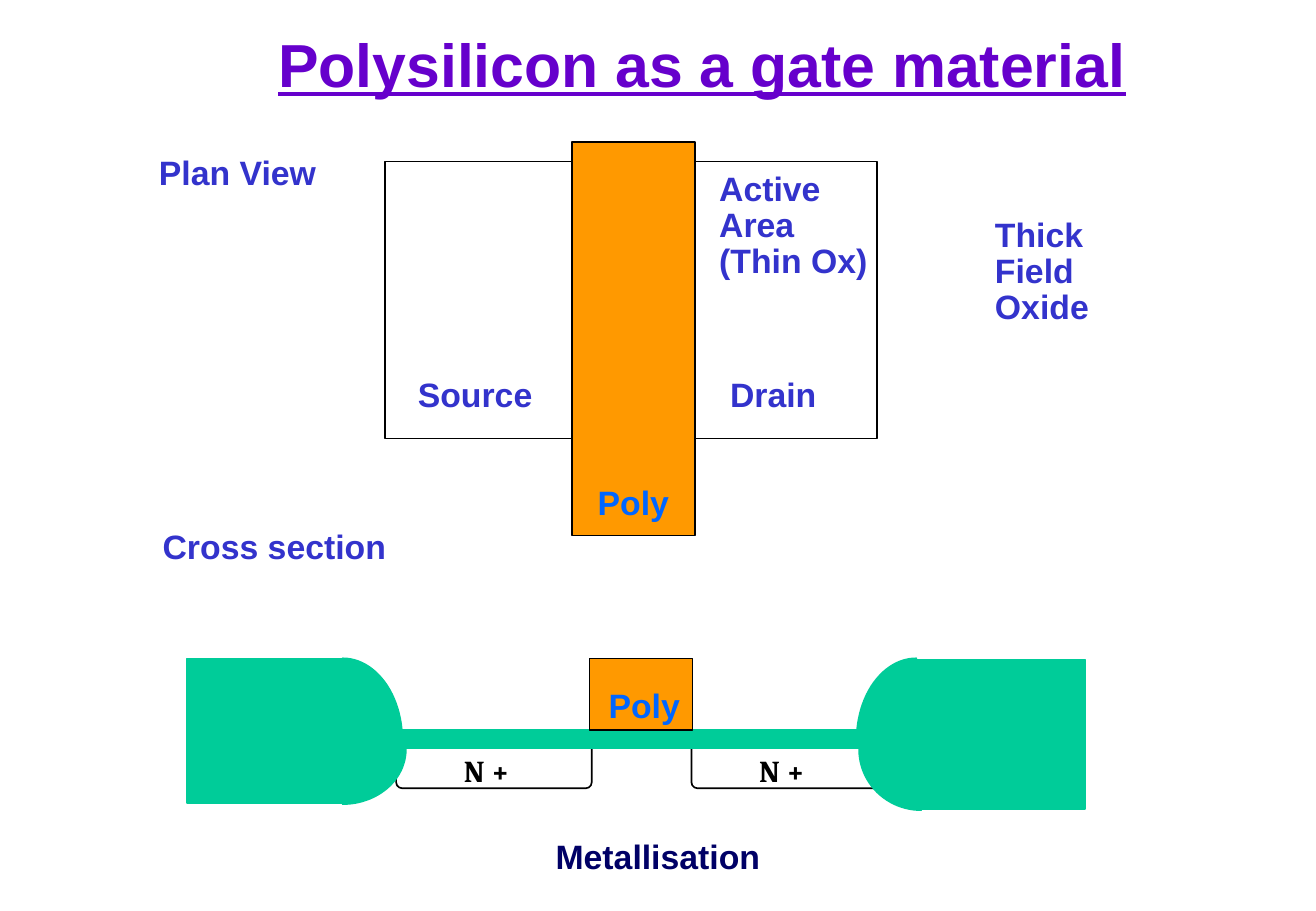
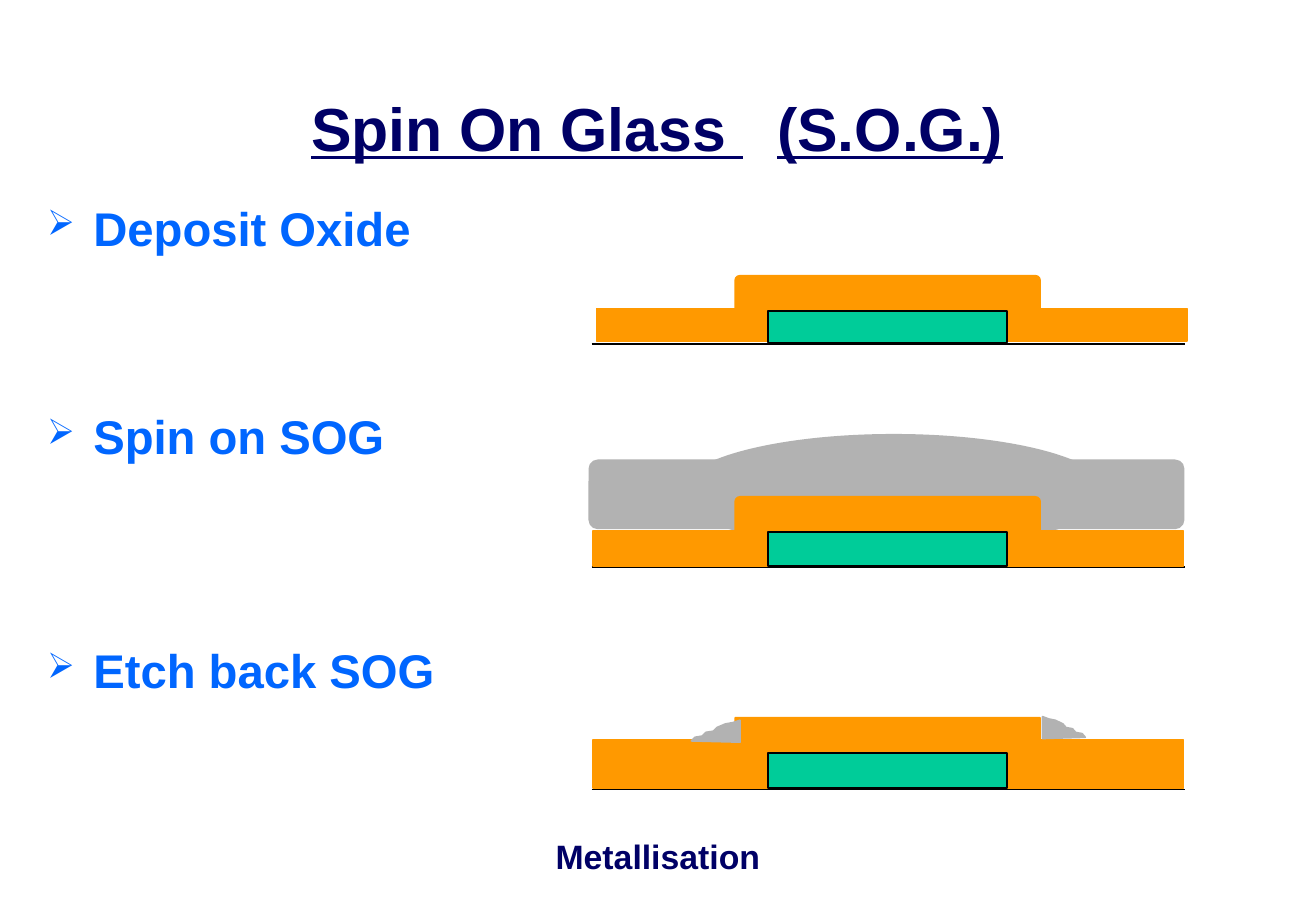
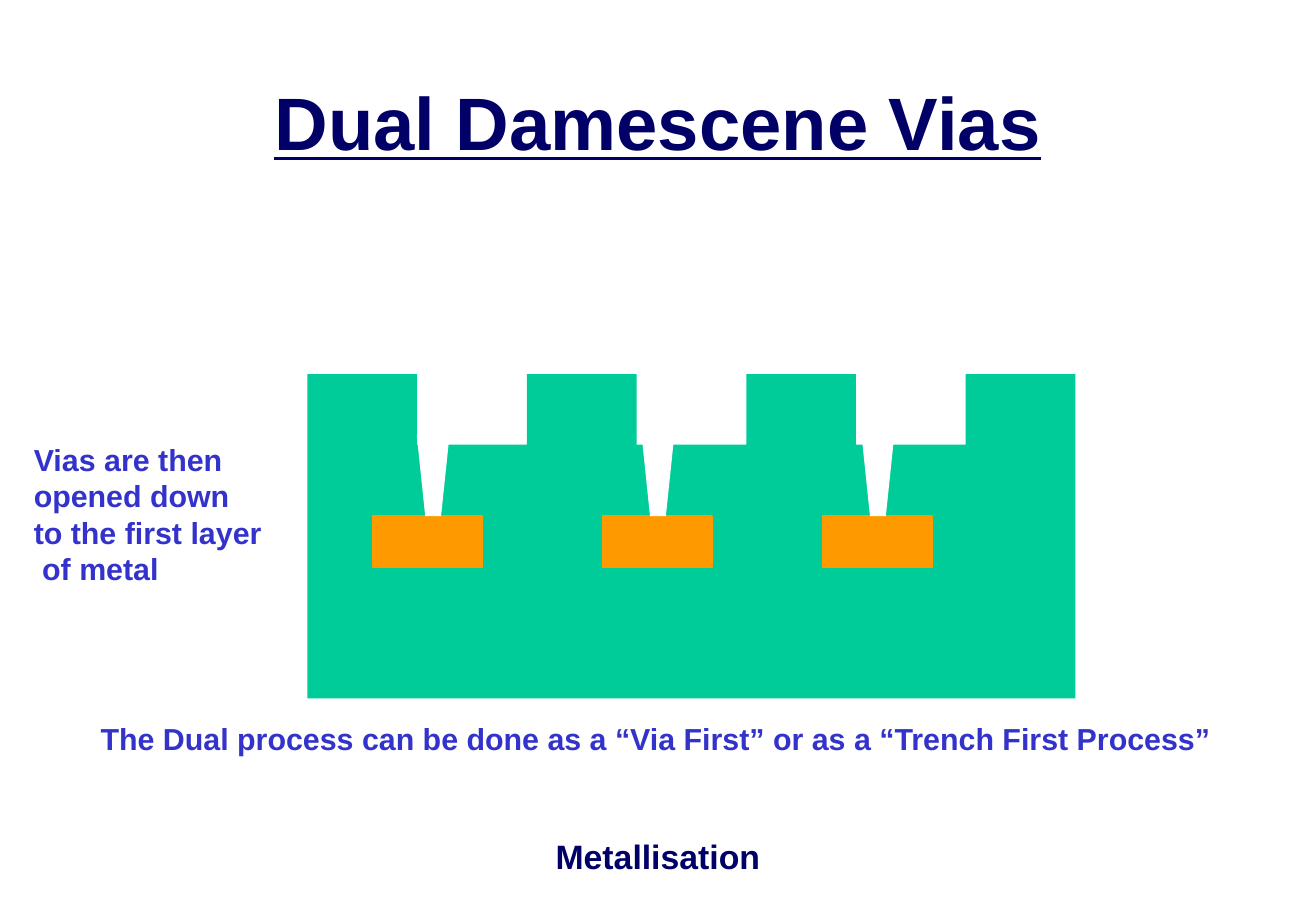
"""Three slides on chip metallisation, drawn on a grid of tenth-inch cells."""
import math
from collections import namedtuple

from lxml import etree
from pptx import Presentation
from pptx import util as u
from pptx.dml.color import RGBColor
from pptx.enum import shapes, text
from pptx.oxml import ns

NAVY = RGBColor(0x00, 0x00, 0x66)
INDIGO = RGBColor(0x33, 0x33, 0xCC)
PURPLE = RGBColor(0x66, 0x00, 0xCC)
BLUE = RGBColor(0x00, 0x66, 0xFF)
ORANGE = RGBColor(0xFF, 0x99, 0x00)
GREEN = RGBColor(0x00, 0xCC, 0x99)
GREY = RGBColor(0xB2, 0xB2, 0xB2)
BLACK = RGBColor(0x00, 0x00, 0x00)
WHITE = RGBColor(0xFF, 0xFF, 0xFF)

COLUMNS, ROWS = 108.3, 75
RECT = shapes.MSO_SHAPE.RECTANGLE
ROUND = shapes.MSO_SHAPE.ROUNDED_RECTANGLE
OVAL = shapes.MSO_SHAPE.OVAL
LEFT, CENTER = text.PP_ALIGN.LEFT, text.PP_ALIGN.CENTER
LEADING = 1.2

Box = namedtuple("Box", "left top width height")
PAGE = Box(0, 0, COLUMNS, ROWS)


def cells(count):
    """Turn a count of grid cells into a length."""
    return u.Inches(count / 10)


def inside(box, left, top, width, height):
    """Return a box whose corner is measured from the corner of another."""
    return Box(box.left + left, box.top + top, width, height)


def assign(target, values):
    """Set every attribute named in a dict of format values."""
    for name, value in values.items():
        setattr(target, name, value)


def paint(shape, fill, line):
    """Give a shape its flat fill and one-point outline; None means none."""
    shape.shadow.inherit = False
    if fill is None:
        shape.fill.background()
    else:
        shape.fill.solid()
        shape.fill.fore_color.rgb = fill
    if line is None:
        shape.line.fill.background()
    else:
        shape.line.color.rgb = line
        shape.line.width = u.Pt(1)


def block(page, kind, box, fill, line, radius=None):
    """Add a preset shape."""
    shape = page.shapes.add_shape(kind, *map(cells, box))
    paint(shape, fill, line)
    if radius is not None:
        shape.adjustments[0] = radius
    return shape


def outline(page, box, points, fill, line=None):
    """Add a closed outline whose points are measured from a box corner."""
    spots = [(cells(box.left + x), cells(box.top + y)) for x, y in points]
    builder = page.shapes.build_freeform(*spots[0])
    builder.add_line_segments(spots[1:], close=True)
    paint(builder.convert_to_shape(), fill, line)


def write(frame, lines, size, color, align=LEFT, font="Arial", underline=False,
          leading=LEADING):
    """Fill a text frame, one paragraph a line, each a list of spans."""
    assign(frame, {"word_wrap": True, "auto_size": text.MSO_AUTO_SIZE.NONE})
    for index, spans in enumerate(lines):
        para = frame.paragraphs[0] if index == 0 else frame.add_paragraph()
        assign(para, {"alignment": align, "line_spacing": u.Pt(size * leading)})
        for words in spans:
            span = para.add_run()
            span.text = words
            assign(span.font, {"name": font, "size": u.Pt(size), "bold": True,
                               "underline": underline})
            span.font.color.rgb = color


def label(page, box, words, size=20, color=INDIGO, **options):
    """Add a text box with one paragraph for each line of the words."""
    frame = page.shapes.add_textbox(*map(cells, box)).text_frame
    write(frame, [[line] for line in words.split("\n")], size, color, **options)
    return frame


def titled_page(deck, box, spans, size, color=NAVY, align=CENTER):
    """Add a slide with its underlined title and the shared footer."""
    page = deck.slides.add_slide(deck.slide_layouts[5])
    title = page.shapes.title
    assign(title, dict(zip(("left", "top", "width", "height"), map(cells, box))))
    title.text_frame.vertical_anchor = text.MSO_ANCHOR.MIDDLE
    write(title.text_frame, [spans], size, color, align, underline=True)
    label(page, Box(37, 68.3, 34.3, 5), "Metallisation", color=NAVY, align=CENTER)
    return page


def plan_view(page, box):
    """Draw the transistor from above: active area crossed by the gate."""
    block(page, RECT, inside(box, 0, 1.6, 40.5, 22.8), None, BLACK)
    block(page, RECT, inside(box, 15.4, 0, 10.1, 32.4), ORANGE, BLACK)
    label(page, inside(box, 49.2, 5.8, 12, 10), "Thick\nField\nOxide", leading=1.065)
    label(page, inside(box, 26.5, 2, 15, 10), "Active\nArea\n(Thin Ox)", leading=1.065)
    label(page, inside(box, 16.5, 27.5, 9, 4.3), "Poly", color=BLUE)
    label(page, inside(box, 1.7, 18.6, 12, 4.3), "Source")
    label(page, inside(box, 27.4, 18.6, 10, 4.3), "Drain")


def quarter(page, box, center, radii):
    """Draw a quarter ellipse; the signs of its radii choose the quadrant."""
    steps = 24
    angles = [math.pi / 2 * step / steps for step in range(steps + 1)]
    arc = [(center[0] + radii[0] * math.cos(angle),
            center[1] + radii[1] * math.sin(angle)) for angle in angles]
    outline(page, box, [center] + arc, GREEN, GREEN)


def cross_section(page, box):
    """Draw the transistor from the side: wells, field oxide and gate."""
    wells = (17.2, 41.5)
    for left in wells:
        block(page, ROUND, inside(box, left, 6.7, 16.1, 4), WHITE, BLACK, 0.125)
    for part in ((0, 0, 13.4, 11.9), (59.9, 0.1, 14, 12.3), (12.7, 5.9, 48.6, 1.5)):
        block(page, RECT, inside(box, *part), GREEN, GREEN)
    for center, radii in (((12.8, 6.7), (4.9, -6.7)), ((60, 6.7), (-4.9, -6.7)),
                          ((12.8, 7.5), (5.2, 4.5)), ((60.4, 7.5), (-5.1, 5))):
        quarter(page, box, center, radii)
    block(page, RECT, inside(box, 33.1, 0, 8.5, 5.9), ORANGE, BLACK)
    label(page, inside(box, 33.7, 1.7, 9, 4.3), "Poly", color=BLUE)
    for left in wells:
        label(page, inside(box, left + 4.6, 7.2, 7, 4), "N +", 18, BLACK,
              font="Cambria")


def oxide_stack(page, box, shift, slab_top, slab, cap, radius):
    """Draw a metal strip under its oxide, standing on the foot of the box."""
    block(page, ROUND, inside(box, 11.8, 0, 25.1, cap), ORANGE, ORANGE, radius)
    foot = cells(box.top + box.height)
    ground = page.shapes.add_connector(
        shapes.MSO_CONNECTOR.STRAIGHT, cells(box.left), foot,
        cells(box.left + box.width), foot)
    ground.line.color.rgb = BLACK
    ground.line.width = u.Pt(1)
    etree.SubElement(ground.element.spPr, ns.qn("a:effectLst"))
    block(page, RECT, inside(box, shift, slab_top, 48.6, slab), ORANGE, ORANGE)
    block(page, RECT, inside(box, 14.5, 2.9, 19.7, box.height - 3), GREEN, BLACK)


def glass_cover(page, box):
    """Draw the spun glass with its bulge over the strip."""
    block(page, ROUND, inside(box, 0, 2.1, 48.9, 5.6), GREY, GREY, 0.125)
    block(page, OVAL, inside(box, 7.5, 0, 35.1, 9.4), GREY, GREY)


def glass_spacers(page, box):
    """Draw the glass left against both sides of the oxide step."""
    profile = ((0, 0.4), (0, 0.2), (0.6, 0.4), (1.2, 0.5), (1.9, 0.8), (2.2, 1.1),
               (2.8, 1.2), (3.1, 1.5), (3.7, 1.6), (4, 1.9), (0, 2))
    for edge, stretch, drop in ((12.2, -1, 0), (37.1, 0.88, -0.3)):
        points = [(edge + stretch * x, y + drop) for x, y in profile]
        outline(page, box, points, GREY, GREY)


def step_list(page, box, steps):
    """Add the bulleted steps, each with the space that stands before it."""
    frame = label(page, box, "\n".join(steps), 28, BLUE)
    for para, gap in zip(frame.paragraphs, steps.values()):
        props = para._p.get_or_add_pPr()
        indent = u.Inches(0.38)
        props.set("marL", str(indent))
        props.set("indent", str(-indent))
        tint = etree.SubElement(props, ns.qn("a:buClr"))
        etree.SubElement(tint, ns.qn("a:srgbClr"), val=str(BLUE))
        etree.SubElement(props, ns.qn("a:buSzPct"), val="75000")
        etree.SubElement(props, ns.qn("a:buChar"), char="➢")
        if gap:
            para.space_before = u.Pt(gap)


def via_block(page, box):
    """Draw the trenched dielectric, its metal pads and the vias above them."""
    teeth, depth = 7, 5.8
    tooth = box.width / teeth
    points = [(0, box.height)]
    for index in range(teeth):
        level = depth * (index % 2)
        points += [(tooth * index, level), (tooth * (index + 1), level)]
    outline(page, box, points + [(box.width, box.height)], GREEN)
    pads = {5.4: 9, 24.3: 27.5, 42.4: 45.6}
    for left in pads:
        block(page, RECT, inside(box, left, 11.7, 9, 4.2), ORANGE, ORANGE)
    for left in pads.values():
        via = inside(box, left, 5, 2.7, 6.7)
        outline(page, via, [(0, 0), (0.7, 6.7), (2, 6.7), (2.7, 0)], WHITE)


def polysilicon_slide(deck):
    """Build the slide on the polysilicon gate."""
    page = titled_page(deck, Box(21.9, 1.7, 74, 7),
                       ["Polysilicon as a gate material"], 36, PURPLE, LEFT)
    plan_view(page, Box(31.7, 11.7, 61, 32.4))
    cross_section(page, Box(15.4, 54.2, 73.9, 12.4))
    label(page, Box(12.1, 12, 16, 4.3), "Plan View")
    label(page, Box(12.4, 42.8, 22, 4.3), "Cross section")


def glass_slide(deck):
    """Build the slide on spin-on glass."""
    page = titled_page(deck, Box(8.1, 4.2, 92, 12.5),
                       ["Spin On Glass", " ", "(S.O.G.)"], 36)
    gap = page.shapes.title.text_frame.paragraphs[0].runs[1]
    gap._r.get_or_add_rPr().set("spc", "2000")
    glass_cover(page, Box(48.5, 35.8, 48.9, 9.4))
    for top, height, *layers in ((22.7, 5.6, 0.4, 2.7, 2.7, 3.1, 0.125),
                                 (40.9, 5.8, 0.1, 2.8, 2.9, 3.2, 0.125),
                                 (59.1, 5.9, 0.1, 1.8, 4, 3.4, 0.01)):
        oxide_stack(page, Box(48.7, top, 48.8, height), *layers)
    glass_spacers(page, Box(48.7, 59.1, 48.8, 5.9))
    step_list(page, Box(2.9, 15.9, 45.1, 44.2),
              {"Deposit Oxide": 0, "Spin on SOG": 90, "Etch back SOG": 105})


def vias_slide(deck):
    """Build the slide on dual damascene vias."""
    page = titled_page(deck, Box(4.5, 3.7, 99.3, 12.5), ["Dual Damescene Vias"], 44)
    via_block(page, Box(25.3, 30.8, 63.2, 26.7))
    label(page, Box(1.8, 35.8, 22, 13),
          "Vias are then\nopened down\nto the first layer\n of metal", 18)
    label(page, Box(7.3, 58.8, 95, 4),
          "The Dual process can be done as a “Via First” or as a "
          "“Trench First Process”", 18)


def main():
    """Build and save the deck."""
    deck = Presentation()
    deck.slide_width = cells(PAGE.width)
    deck.slide_height = cells(PAGE.height)
    for build in (polysilicon_slide, glass_slide, vias_slide):
        build(deck)
    deck.save("out.pptx")


if __name__ == "__main__":
    main()
